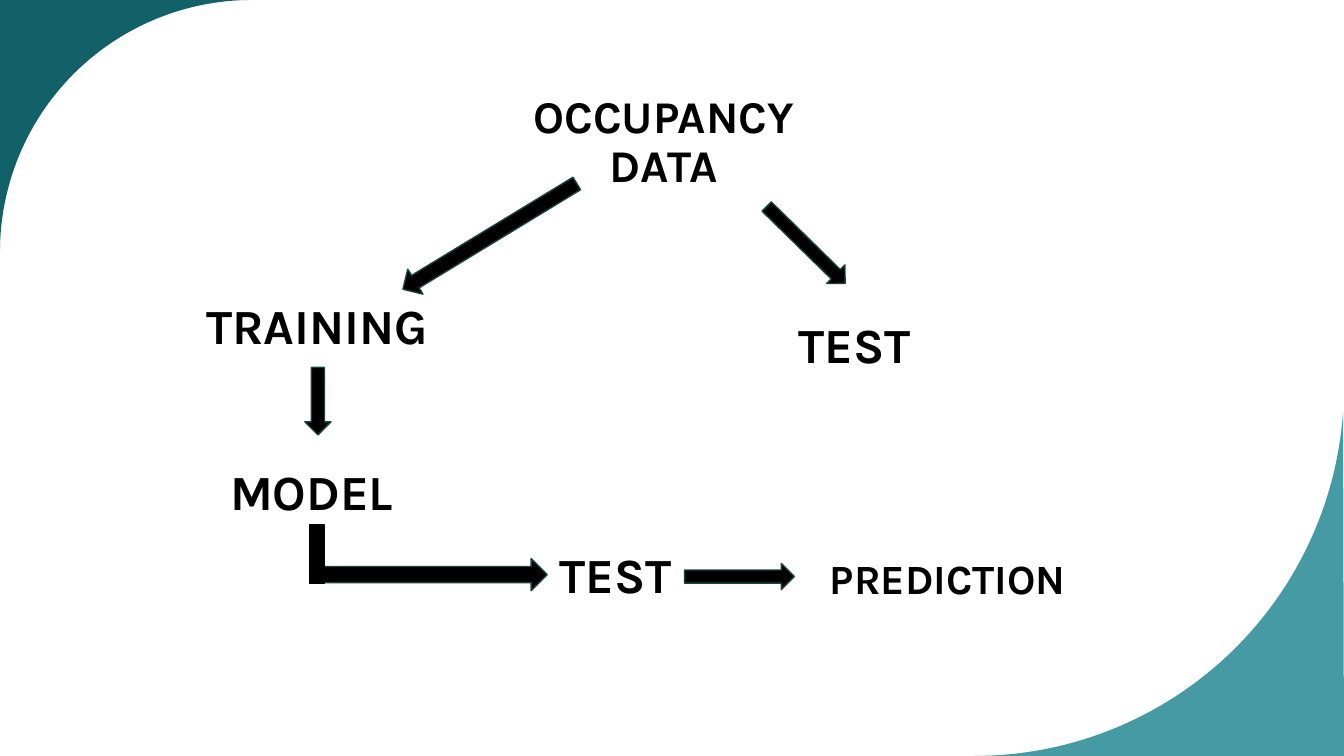
from dataclasses import dataclass
from math import cos, radians, sin

from lxml.etree import SubElement
from pptx import Presentation
from pptx.dml.color import RGBColor
from pptx.enum.shapes import MSO_SHAPE
from pptx.enum.text import MSO_ANCHOR, PP_ALIGN
from pptx.oxml.ns import qn
from pptx.shapes.autoshape import Shape
from pptx.slide import Slide
from pptx.util import Pt

COLORS = {"ink": "000000", "edge": "1A433F", "dark_teal": "126169", "teal": "18818C"}
LABEL_FORMAT = {"name": "Karla", "bold": True}
FRAME_FORMAT = {"word_wrap": True, "vertical_anchor": MSO_ANCHOR.MIDDLE}
ARC_STEPS = 60


@dataclass(frozen=True)
class Corner:
    """Area between a slide corner and an arc; angles run clockwise from the right."""
    tip: tuple[float, float]
    center: tuple[float, float]
    radius: float
    start: float
    end: float
    color: str
    opacity: int


@dataclass(frozen=True)
class Label:
    text: str
    left: float
    top: float
    width: float = 248.4
    height: float = 80.6
    size: float = 35.1
    line_spacing: float = 0.9


@dataclass(frozen=True)
class Block:
    left: float
    top: float
    width: float
    height: float
    rotation: float = 0
    kind: MSO_SHAPE = MSO_SHAPE.LEFT_ARROW
    edge: str = "edge"


CORNERS = [
    Corner((960, 540), (696, 276), 264, 4, 90, "teal", 80),
    Corner((0, 0), (180, 180), 180, 180, 270, "dark_teal", 100),
]
LABELS = [
    Label("OCCUPANCY DATA", 349.9, 61.9, size=32.4),
    Label("TRAINING", 102.2, 194.4),
    Label("TEST", 486, 208.1),
    Label("MODEL", 98.4, 313.2),
    Label("TEST", 383.8, 382.3, 112.3, 60.5),
    Label("PREDICTION", 575.3, 393.8, 203.8, 43.9, 29.7, 0.8),
]
BLOCKS = [
    Block(277.2, 158.4, 145.4, 20.9, 328.7),
    Block(536.4, 165.6, 78.5, 18.7, 224.4),
    Block(203, 277.2, 48.2, 18.7, 270),
    Block(224.6, 398.9, 166.3, 23, 180),
    Block(221, 375.1, 10.8, 41.8, kind=MSO_SHAPE.RECTANGLE, edge="ink"),
    Block(488.9, 402.5, 78.5, 18.7, 180),
]


def color_of(name: str) -> RGBColor:
    return RGBColor.from_string(COLORS[name])


def paint(shape: Shape, color: str) -> None:
    shape.shadow.inherit = False
    shape.fill.solid()
    shape.fill.fore_color.rgb = color_of(color)


def add_corner(page: Slide, corner: Corner) -> None:
    center_x, center_y = corner.center
    sweep = corner.end - corner.start
    angles = [radians(corner.start + sweep * step / ARC_STEPS) for step in range(ARC_STEPS + 1)]
    arc = [
        (Pt(center_x + corner.radius * cos(angle)), Pt(center_y + corner.radius * sin(angle)))
        for angle in angles
    ]
    tip_x, tip_y = corner.tip
    builder = page.shapes.build_freeform(Pt(tip_x), Pt(tip_y))
    builder.add_line_segments(arc, close=True)
    shape = builder.convert_to_shape()
    paint(shape, corner.color)
    shape.line.fill.background()
    if corner.opacity < 100:
        color = shape.fill._xPr.find(qn("a:solidFill"))[0]
        SubElement(color, qn("a:alpha"), val=str(corner.opacity * 1000))


def add_label(page: Slide, label: Label) -> None:
    box = page.shapes.add_textbox(
        Pt(label.left), Pt(label.top), Pt(label.width), Pt(label.height)
    )
    for name, value in FRAME_FORMAT.items():
        setattr(box.text_frame, name, value)
    para = box.text_frame.paragraphs[0]
    para.alignment = PP_ALIGN.CENTER
    para.line_spacing = label.line_spacing
    span = para.add_run()
    span.text = label.text
    for name, value in {**LABEL_FORMAT, "size": Pt(label.size)}.items():
        setattr(span.font, name, value)
    span.font.color.rgb = color_of("ink")


def add_block(page: Slide, block: Block) -> None:
    shape = page.shapes.add_shape(
        block.kind, Pt(block.left), Pt(block.top), Pt(block.width), Pt(block.height)
    )
    shape.rotation = block.rotation
    paint(shape, "ink")
    shape.line.color.rgb = color_of(block.edge)
    shape.line.width = Pt(1)


def main() -> None:
    deck = Presentation()
    deck.slide_width, deck.slide_height = Pt(960), Pt(540)
    page = deck.slides.add_slide(deck.slide_layouts[6])
    for corner in CORNERS:
        add_corner(page, corner)
    for block in BLOCKS:
        add_block(page, block)
    for label in LABELS:
        add_label(page, label)
    deck.save("out.pptx")


if __name__ == "__main__":
    main()
